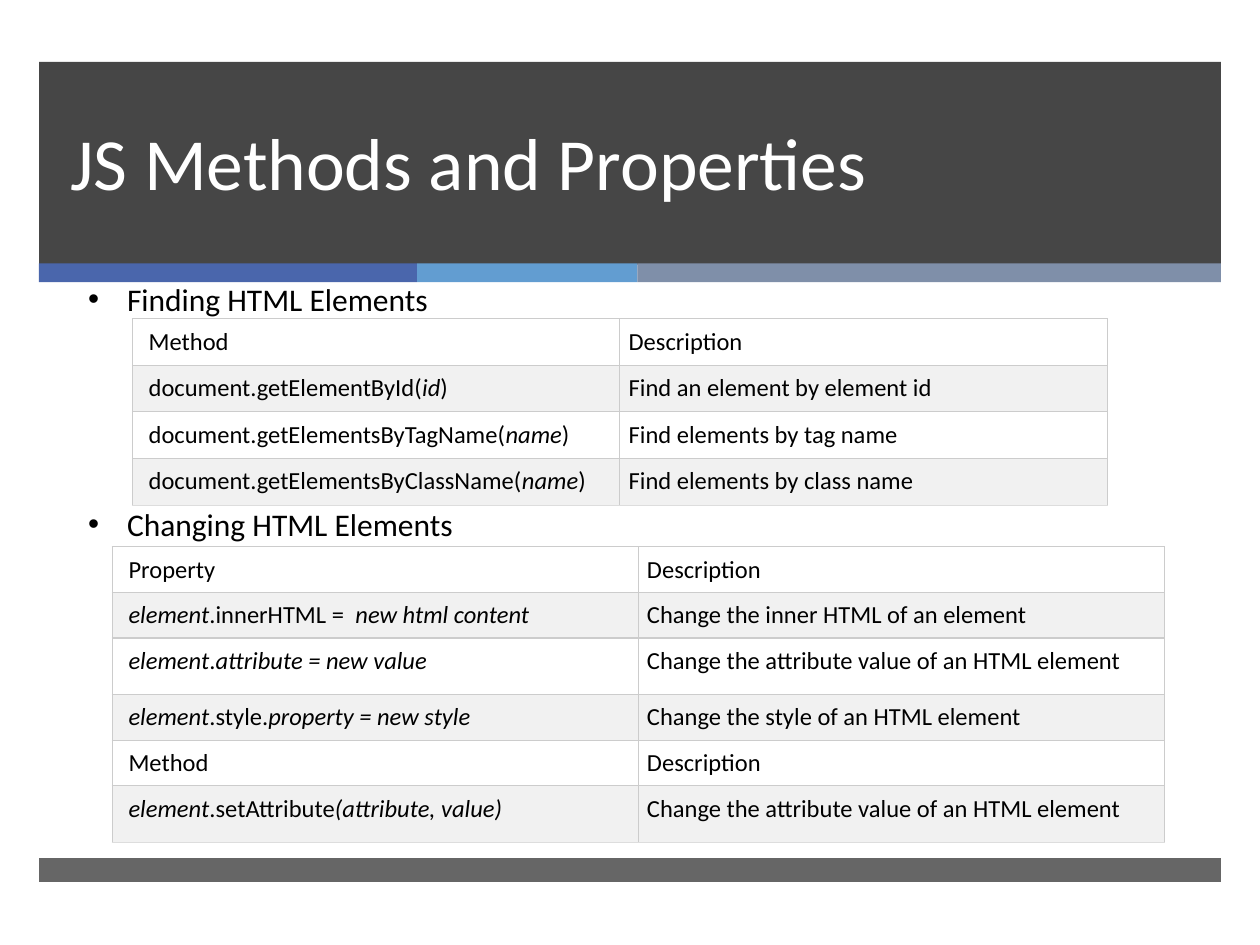
from lxml import etree
from pptx import Presentation, util as u
from pptx.dml.color import RGBColor
from pptx.enum import shapes, text
from pptx.oxml import ns

FONT = "Calibri"
LEFT, WIDE = 0.31, 9.38

# Asterisks enclose italic words
FIND = [
    ("Method", "Description"),
    ("document.getElementById(*id*)", "Find an element by element id"),
    ("document.getElementsByTagName(*name*)", "Find elements by tag name"),
    ("document.getElementsByClassName(*name*)", "Find elements by class name"),
]
CHANGE = [
    ("Property", "Description"),
    ("*element*.innerHTML =  *new html content*",
     "Change the inner HTML of an element"),
    ("*element*.*attribute = new value*",
     "Change the attribute value of an HTML element"),
    ("*element*.style.*property = new style*",
     "Change the style of an HTML element"),
    ("Method", "Description"),
    ("*element*.setAttribute*(attribute, value)*",
     "Change the attribute value of an HTML element"),
]


def paint(color, code):
    color.rgb = RGBColor.from_string(code)


def add(parent, tag, **attrs):
    return etree.SubElement(parent, ns.qn(tag), attrs)


def style(para, size, code="000000"):
    para.font.name = FONT
    para.font.size = u.Pt(size)
    paint(para.font.color, code)


def band(slide, left, top, width, height, code, alpha=100):
    box = slide.shapes.add_shape(
        shapes.MSO_SHAPE.RECTANGLE, *map(u.Inches, (left, top, width, height)))
    box.shadow.inherit = False
    box.line.fill.background()
    box.fill.solid()
    paint(box.fill.fore_color, code)
    if alpha < 100:
        tone = box._element.spPr.find(".//" + ns.qn("a:srgbClr"))
        add(tone, "a:alpha", val=str(alpha * 1000))


def frame(slide, left, top, width, height):
    box = slide.shapes.add_textbox(*map(u.Inches, (left, top, width, height)))
    box.text_frame.word_wrap = True
    return box.text_frame


def title(slide, words):
    body = frame(slide, 0.46, 0.49, 8.54, 1.19)
    body.vertical_anchor = text.MSO_ANCHOR.BOTTOM
    para = body.paragraphs[0]
    para.text = words
    para.line_spacing = u.Pt(46)
    style(para, 42, "FFFFFF")


def bullets(slide, items, gap):
    body = frame(slide, 0.6, 2.17, 8.65, 3.43)
    for i, item in enumerate(items):
        para = body.add_paragraph() if i else body.paragraphs[0]
        para.text = item
        props = para._p.get_or_add_pPr()
        props.set("marL", str(u.Inches(0.31)))
        props.set("indent", str(-u.Inches(0.31)))
        add(props, "a:buFont", typeface="Arial")
        add(props, "a:buChar", char="•")
        if i:
            para.space_before = u.Pt(gap)
        style(para, 18)


def border(cell, last):
    props = cell._tc.get_or_add_tcPr()
    for side in "LRTB":
        line = add(props, "a:ln" + side, w=str(u.Pt(0.75)))
        code = "DDDDDD" if last and side == "B" else "CCCCCC"
        add(add(line, "a:solidFill"), "a:srgbClr", val=code)


def fill_cell(cell, words, first, shade, last):
    cell.margin_left = u.Inches(0.13 if first else 0.07)
    cell.margin_right = u.Inches(0.07)
    cell.margin_top = cell.margin_bottom = u.Pt(4.6)
    border(cell, last)
    cell.fill.solid()
    paint(cell.fill.fore_color, shade)
    para = cell.text_frame.paragraphs[0]
    style(para, 14)
    for i, part in enumerate(words.split("*")):
        if part:
            run = para.add_run()
            run.text = part
            run.font.italic = i % 2 == 1


def table(slide, left, top, width, rows, highs):
    grid = slide.shapes.add_table(
        len(rows), 2, *map(u.Inches, (left, top, width, sum(highs)))).table
    grid.first_row = grid.horz_banding = False
    for r, (row, high) in enumerate(zip(rows, highs)):
        grid.rows[r].height = u.Inches(high)
        for c, words in enumerate(row):
            shade = "F1F1F1" if r % 2 else "FFFFFF"
            fill_cell(grid.cell(r, c), words, c == 0, shade,
                      r == len(rows) - 1)


def main():
    deck = Presentation()
    deck.slide_width, deck.slide_height = u.Inches(10), u.Inches(7.5)
    slide = deck.slides.add_slide(deck.slide_layouts[6])

    # Header, colour strip and footer
    band(slide, LEFT, 0.49, WIDE, 1.61, "262626", 85)
    left = LEFT
    for width, code in ((3, "4A66AC"), (1.75, "629DD1"), (4.63, "7F8FA9")):
        band(slide, left, 2.09, width, 0.15, code)
        left += width
    band(slide, LEFT, 6.81, WIDE, 0.19, "262626", 70)

    # Title and headings; the gap leaves room for the first table
    title(slide, "JS Methods and Properties")
    bullets(slide, ["Finding HTML Elements", "Changing HTML Elements"], 107)

    # Tables
    table(slide, 1.05, 2.53, 7.74, FIND, [0.37] * 4)
    table(slide, 0.89, 4.34, 8.35, CHANGE, [0.36, 0.36, 0.45] * 2)

    deck.save("out.pptx")


if __name__ == "__main__":
    main()
